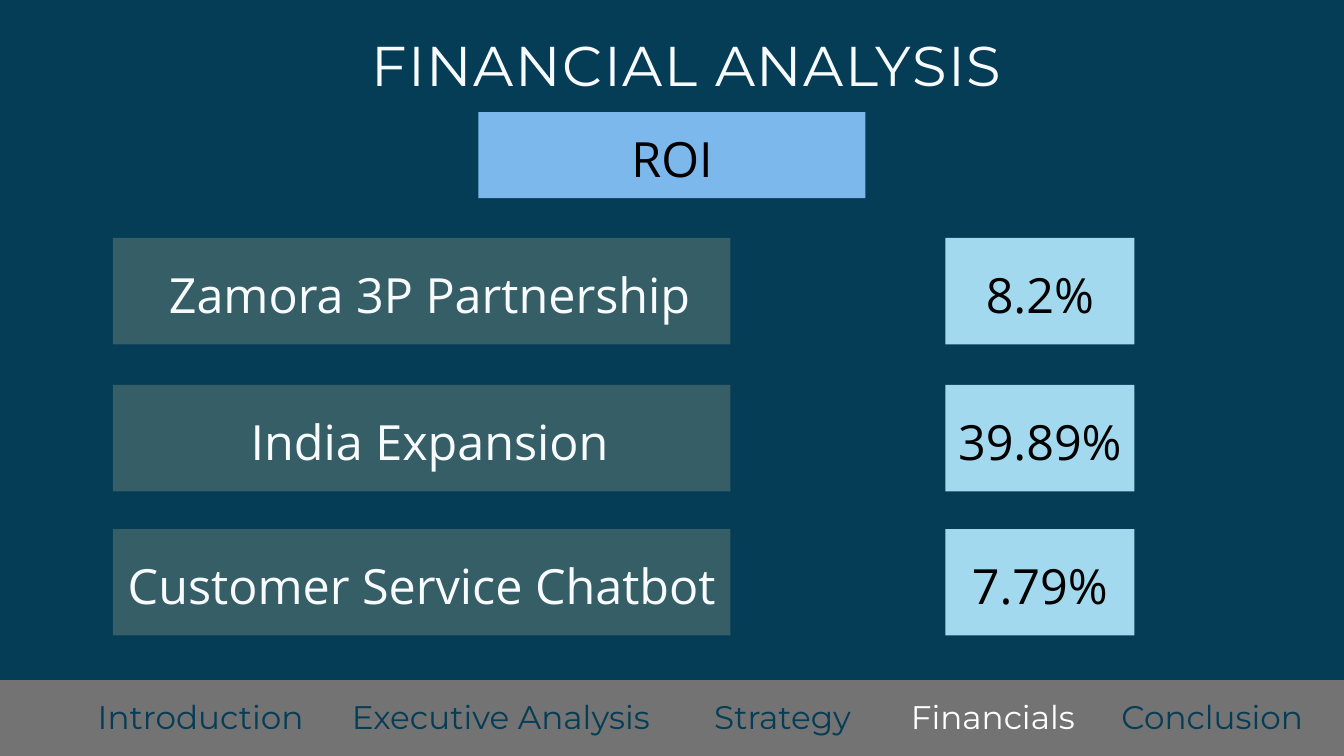
from pptx import Presentation
from pptx.dml.color import RGBColor
from pptx.enum.shapes import MSO_SHAPE
from pptx.enum.text import MSO_ANCHOR, MSO_AUTO_SIZE, PP_ALIGN
from pptx.util import Pt

NAVY = RGBColor(0x05, 0x3D, 0x57)
GRAY = RGBColor(0x73, 0x73, 0x73)
TEAL = RGBColor(0x35, 0x5E, 0x66)
BLUE = RGBColor(0x7C, 0xB8, 0xEB)
LIGHT_BLUE = RGBColor(0xA2, 0xD9, 0xEE)
OFF_WHITE = RGBColor(0xF8, 0xFB, 0xFD)
WHITE = RGBColor(0xFF, 0xFF, 0xFF)
BLACK = RGBColor(0, 0, 0)

HEADING_FONT = "Montserrat"
BODY_FONT = "Open Sans"
ROW_HEIGHT = 114
TEXT_OFFSET = 18.2

ROWS = [
    (254.9, "Zamora 3P Partnership", 460.4, "8.2%"),
    (412.5, "India Expansion", 460.4, "39.89%"),
    (566.9, "Customer Service Chatbot", 452, "7.79%"),
]
SECTIONS = [
    ("Introduction", 67, 296),
    ("Executive Analysis", 353.5, 366.5),
    ("Strategy", 718.6, 239.8),
    ("Financials", 941.8, 244),
    ("Conclusion", 1174.3, 249.1),
]
CURRENT_SECTION = "Financials"


class SlideBuilder:
    def __init__(self, slide):
        self.slide = slide
        slide.background.fill.solid()
        slide.background.fill.fore_color.rgb = NAVY

    def panel(self, left, top, width, height, color):
        shape = self.slide.shapes.add_shape(
            MSO_SHAPE.RECTANGLE, Pt(left), Pt(top), Pt(width), Pt(height))
        shape.shadow.inherit = False
        shape.fill.solid()
        shape.fill.fore_color.rgb = color
        shape.line.fill.background()

    def set_text(self, shape, text, font_name, size, line_spacing, color):
        frame = shape.text_frame
        frame.text = text
        frame.word_wrap = True
        frame.auto_size = MSO_AUTO_SIZE.NONE
        frame.vertical_anchor = MSO_ANCHOR.TOP
        frame.margin_left = frame.margin_right = 0
        frame.margin_top = frame.margin_bottom = 0
        paragraph = frame.paragraphs[0]
        paragraph.alignment = PP_ALIGN.CENTER
        paragraph.line_spacing = Pt(line_spacing)
        paragraph.font.name = font_name
        paragraph.font.size = Pt(size)
        paragraph.font.color.rgb = color
        return paragraph

    def title(self, text, left, top, width, height):
        shape = self.slide.shapes.title
        shape.left, shape.top = Pt(left), Pt(top)
        shape.width, shape.height = Pt(width), Pt(height)
        paragraph = self.set_text(shape, text, HEADING_FONT, 60, 78.6, OFF_WHITE)
        paragraph.runs[0]._r.get_or_add_rPr().set("spc", "170")

    def label(self, text, center, top, width, color):
        shape = self.slide.shapes.add_textbox(
            Pt(center - width / 2), Pt(top), Pt(width), Pt(70))
        self.set_text(shape, text, BODY_FONT, 52, 72.8, color)

    def section(self, text, left, width, color):
        shape = self.slide.shapes.add_textbox(
            Pt(left), Pt(739.4), Pt(width), Pt(48.2))
        self.set_text(shape, text, HEADING_FONT, 35, 49, color)


def main():
    presentation = Presentation()
    presentation.slide_width = Pt(1440)
    presentation.slide_height = Pt(810)
    slide = presentation.slides.add_slide(presentation.slide_layouts[5])
    builder = SlideBuilder(slide)

    builder.title("FINANCIAL ANALYSIS", 193.7, 25.9, 1083.6, 77)
    builder.panel(512.6, 120.2, 414.7, 92.2, BLUE)
    builder.label("ROI", 720, 127.4, 187.2, BLACK)

    for top, initiative, center, roi in ROWS:
        builder.panel(121, top, 661.7, ROW_HEIGHT, TEAL)
        builder.label(initiative, center, top + TEXT_OFFSET, 640, OFF_WHITE)
        builder.panel(1013, top, 202.3, ROW_HEIGHT, LIGHT_BLUE)
        builder.label(roi, 1114.2, top + TEXT_OFFSET, 187.2, BLACK)

    builder.panel(0, 728.8, 1440, 81.2, GRAY)
    for name, left, width in SECTIONS:
        color = WHITE if name == CURRENT_SECTION else NAVY
        builder.section(name, left, width, color)

    presentation.save("out.pptx")


if __name__ == "__main__":
    main()
